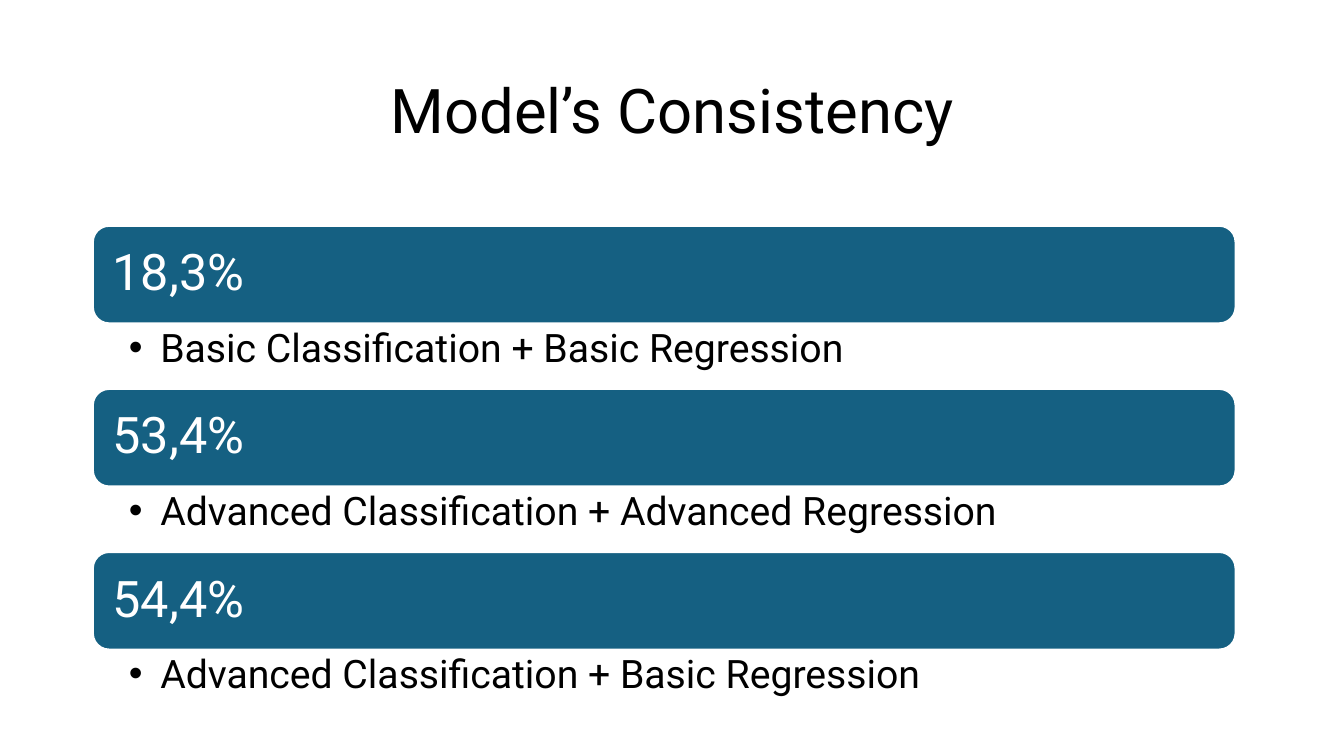
"""Build a slide listing the consistency of three model combinations."""
from lxml import etree
from pptx import Presentation
from pptx import util as u
from pptx.dml.color import RGBColor
from pptx.enum import shapes, text
from pptx.oxml.ns import qn


def color(value):
    return RGBColor.from_string(value)


def write(paragraph, words, size, value):
    paragraph.line_spacing = 0.9
    run = paragraph.add_run()
    run.text = words
    run.font.name = "Roboto"
    run.font.size = u.Pt(size)
    run.font.color.rgb = color(value)


presentation = Presentation()
presentation.slide_width = u.Cm(33.87)
presentation.slide_height = u.Cm(19.05)
slide = presentation.slides.add_slide(presentation.slide_layouts[5])

title = slide.shapes.title
title.left, title.top = u.Cm(2.34), u.Cm(1.02)
title.width, title.height = u.Cm(29.21), u.Cm(3.68)
title.text_frame.vertical_anchor = text.MSO_ANCHOR.MIDDLE
title_paragraph = title.text_frame.paragraphs[0]
title_paragraph.alignment = text.PP_ALIGN.CENTER
write(title_paragraph, "Model’s Consistency", 44, "000000")

results = [
    ("18,3%", "Basic Classification + Basic Regression"),
    ("53,4%", "Advanced Classification + Advanced Regression"),
    ("54,4%", "Advanced Classification + Basic Regression"),
]
left, width = u.Cm(2.34), u.Cm(28.8)
bar_height, label_height = u.Cm(2.46), u.Cm(1.65)

for index, (percentage, models) in enumerate(results):
    top = u.Cm(5.69) + index * (bar_height + label_height)

    bar = slide.shapes.add_shape(
        shapes.MSO_SHAPE.ROUNDED_RECTANGLE, left, top, width, bar_height)
    bar.shadow.inherit = False
    bar.fill.solid()
    bar.fill.fore_color.rgb = color("156082")
    bar.line.color.rgb = color("FFFFFF")
    bar.line.width = u.Pt(1.5)
    frame = bar.text_frame
    frame.word_wrap = True
    frame.vertical_anchor = text.MSO_ANCHOR.MIDDLE
    frame.margin_left = frame.margin_right = u.Cm(0.38)
    frame.paragraphs[0].alignment = text.PP_ALIGN.LEFT
    write(frame.paragraphs[0], percentage, 36, "FFFFFF")

    label = slide.shapes.add_textbox(left, top + bar_height, width, label_height)
    frame = label.text_frame
    frame.word_wrap = True
    frame.margin_left, frame.margin_right = u.Cm(0.91), u.Cm(0.71)
    paragraph = frame.paragraphs[0]
    write(paragraph, models, 28, "000000")
    properties = paragraph._p.get_or_add_pPr()
    properties.set("marL", str(u.Cm(0.79)))
    properties.set("indent", str(-u.Cm(0.79)))
    etree.SubElement(properties, qn("a:buFont"), typeface="Arial")
    etree.SubElement(properties, qn("a:buChar"), char="•")

presentation.save("out.pptx")
